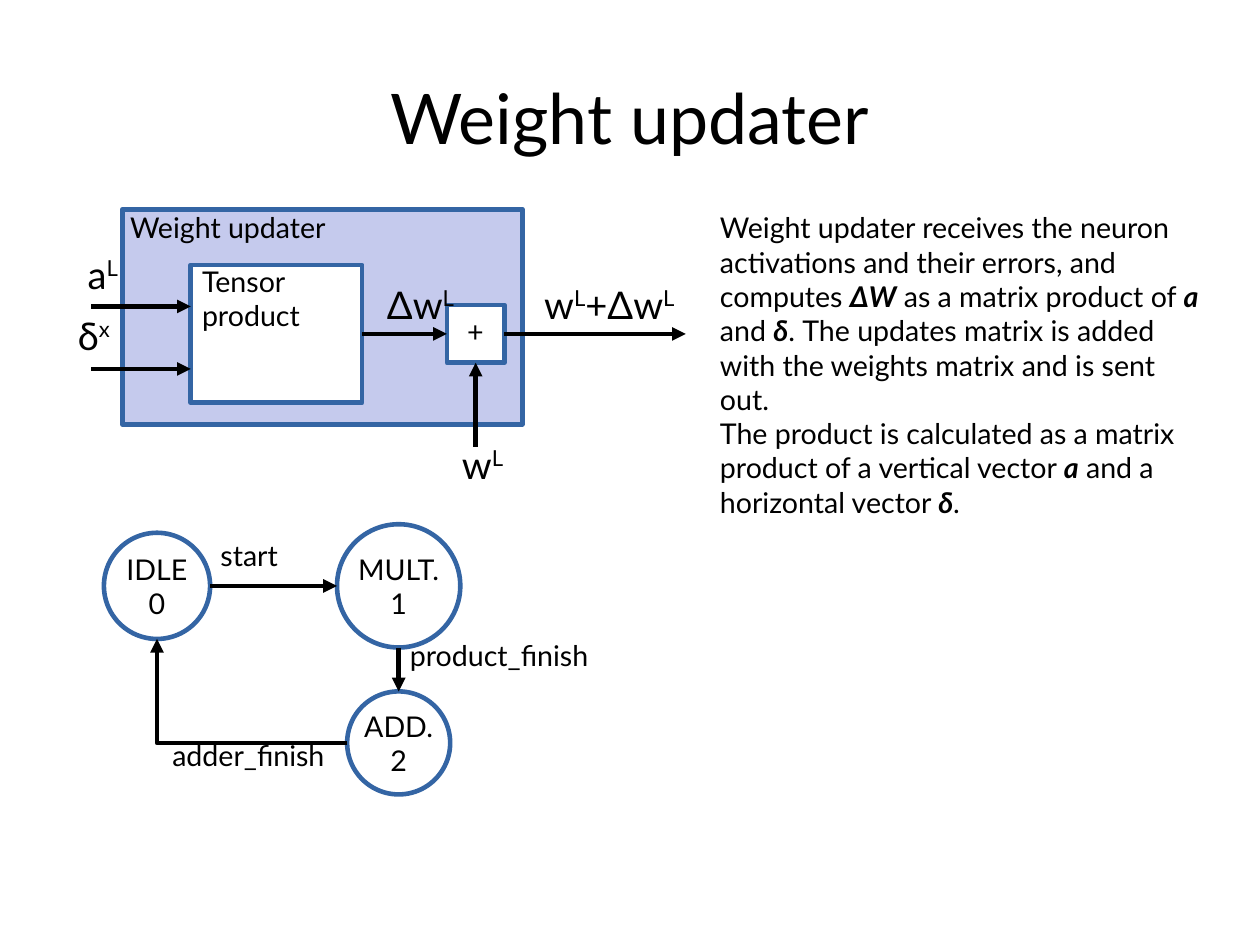
from lxml.etree import SubElement
from pptx import Presentation
from pptx.dml.color import RGBColor
from pptx.enum.shapes import MSO_CONNECTOR as LINK, MSO_SHAPE as SHAPE
from pptx.enum.text import MSO_ANCHOR as ANCHOR, PP_ALIGN as ALIGN
from pptx.oxml.ns import qn
from pptx.util import Cm, Pt

BLACK = RGBColor(0x00, 0x00, 0x00)
WHITE = RGBColor(0xFF, 0xFF, 0xFF)
BLUE = RGBColor(0x34, 0x65, 0xA4)
LAVENDER = RGBColor(0xC5, 0xCA, 0xED)
FONT = "Lato"
STROKE = Pt(2.89)

FLOW_Y = 7.42  # axis of the data path, in cm
ADDER_X = 10.57
IDLE_X, MULT_X = 3.49, 8.86
TOP_ROW_Y, ADD_Y = 13.02, 16.51
IDLE_D, MULT_D, ADD_D = 2.36, 2.74, 2.29

DESCRIPTION = [
    [("Weight updater receives the neuron activations and their errors, "
      "and computes ", ""), ("ΔW", "strong"),
     (" as a matrix product of ", ""), ("a ", "strong"), ("and ", ""),
     ("δ", "strong"),
     (". The updates matrix is added with the weights matrix and is sent out.", "")],
    [("The product is calculated as a matrix product of a vertical vector ", ""),
     ("a", "strong"), (" and a horizontal vector ", ""), ("δ", "strong"), (".", "")],
]


def plain(*lines):
    return [[(line, "")] for line in lines]


def write(frame, paragraphs, size=18, align=ALIGN.LEFT):
    """Fill a text frame with paragraphs of (text, style) runs."""
    for index, runs in enumerate(paragraphs):
        para = frame.add_paragraph() if index else frame.paragraphs[0]
        para.alignment = align
        for text, style in runs:
            span = para.add_run()
            span.text = text
            font = span.font
            font.name, font.size = FONT, Pt(size)
            font.color.rgb = BLACK
            if style == "strong":
                font.bold = font.italic = True
            elif style == "super":
                span._r.get_or_add_rPr().set("baseline", "33000")


def add_text(page, area, paragraphs, wrap=True, **style):
    box = page.shapes.add_textbox(*map(Cm, area))
    box.text_frame.word_wrap = wrap
    write(box.text_frame, paragraphs, **style)
    return box


def add_signal(page, area, *runs):
    add_text(page, area, [runs], size=24, align=ALIGN.RIGHT)


def add_block(page, kind, area, fill=WHITE):
    block = page.shapes.add_shape(kind, *map(Cm, area))
    block.shadow.inherit = False
    block.fill.solid()
    block.fill.fore_color.rgb = fill
    block.line.color.rgb = BLUE
    block.line.width = STROKE
    return block


def add_state(page, x, y, diameter, name, number):
    corner = (x - diameter / 2, y - diameter / 2)
    state = add_block(page, SHAPE.OVAL, (*corner, diameter, diameter))
    frame = state.text_frame
    frame.word_wrap = False
    frame.vertical_anchor = ANCHOR.MIDDLE
    write(frame, plain(name, number), align=ALIGN.CENTER)


def add_arrow(page, start, end, kind=LINK.STRAIGHT):
    arrow = page.shapes.add_connector(kind, *map(Cm, (*start, *end)))
    arrow.line.color.rgb = BLACK
    arrow.line.width = STROKE
    SubElement(arrow.line._get_or_add_ln(), qn("a:tailEnd"), type="triangle")
    SubElement(arrow._element.spPr, qn("a:effectLst"))
    return arrow


def add_corner_arrow(page, start, end):
    """Draw an arrow with one right-angle turn."""
    arrow = add_arrow(page, start, end, LINK.ELBOW)
    arrow._element.spPr.find(qn("a:prstGeom")).set("prst", "bentConnector2")


def draw_data_path(page):
    add_block(page, SHAPE.RECTANGLE, (2.72, 4.65, 8.89, 4.78), LAVENDER)
    tensor = add_block(page, SHAPE.RECTANGLE, (4.24, FLOW_Y - 1.53, 3.81, 3.06))
    adder = add_block(page, SHAPE.RECTANGLE,
                      (ADDER_X - 0.64, FLOW_Y - 0.64, 1.28, 1.28))
    add_text(page, (4.24, 5.74, 2.82, 2.13), plain("Tensor", "product"), wrap=False)
    add_text(page, (10.13, 6.86, 0.89, 1.19), plain("+"), wrap=False)
    add_text(page, (2.64, 4.55, 5.41, 2.13), plain("Weight updater"))

    for y in (6.81, 8.2):
        add_arrow(page, (2.03, y), (4.24, y))
    update = add_arrow(page, (8.05, FLOW_Y), (9.93, FLOW_Y))
    update.begin_connect(tensor, 3)
    update.end_connect(adder, 1)
    weight = add_arrow(page, (ADDER_X, 9.93), (ADDER_X, 8.06))
    weight.end_connect(adder, 2)
    output = add_arrow(page, (11.21, FLOW_Y), (15.24, FLOW_Y))
    output.begin_connect(adder, 3)

    layer = ("L", "super")
    add_signal(page, (1.52, 5.46, 1.35, 2.74), ("a", ""), layer)
    add_signal(page, (1.27, 6.81, 1.42, 1.5), ("δ", ""), ("x", "super"))
    add_signal(page, (8.03, 6.12, 2.31, 2.74), ("Δw", ""), layer)
    add_signal(page, (11.53, 6.12, 3.71, 2.74), ("w", ""), layer, ("+Δw", ""), layer)
    add_signal(page, (7.92, 9.68, 3.51, 1.5), ("w", ""), layer)


def draw_state_machine(page):
    add_state(page, IDLE_X, TOP_ROW_Y, IDLE_D, "IDLE", "0")
    add_state(page, MULT_X, TOP_ROW_Y, MULT_D, "MULT.", "1")
    add_state(page, MULT_X, ADD_Y, ADD_D, "ADD.", "2")

    add_arrow(page, (IDLE_X + IDLE_D / 2, TOP_ROW_Y),
              (MULT_X - MULT_D / 2, TOP_ROW_Y))
    add_arrow(page, (MULT_X, TOP_ROW_Y + MULT_D / 2), (MULT_X, ADD_Y - ADD_D / 2))
    add_corner_arrow(page, (MULT_X - ADD_D / 2, ADD_Y),
                     (IDLE_X, TOP_ROW_Y + IDLE_D / 2))

    for label, left, top, width in (("start", 4.65, 11.84, 1.93),
                                    ("product_finish", 8.86, 14.05, 4.75),
                                    ("adder_finish", 3.58, 16.28, 4.19)):
        add_text(page, (left, top, width, 1.19), plain(label), wrap=False)


def main():
    deck = Presentation()
    deck.slide_width, deck.slide_height = Cm(28), Cm(21)
    page = deck.slides.add_slide(deck.slide_layouts[6])

    title = add_text(page, (1.4, 0.84, 25.2, 3.51), plain("Weight updater"),
                     size=44, align=ALIGN.CENTER)
    title.text_frame.vertical_anchor = ANCHOR.MIDDLE
    draw_data_path(page)
    add_text(page, (15.75, 4.55, 11.18, 8.84), DESCRIPTION)
    draw_state_machine(page)
    deck.save("out.pptx")


if __name__ == "__main__":
    main()
